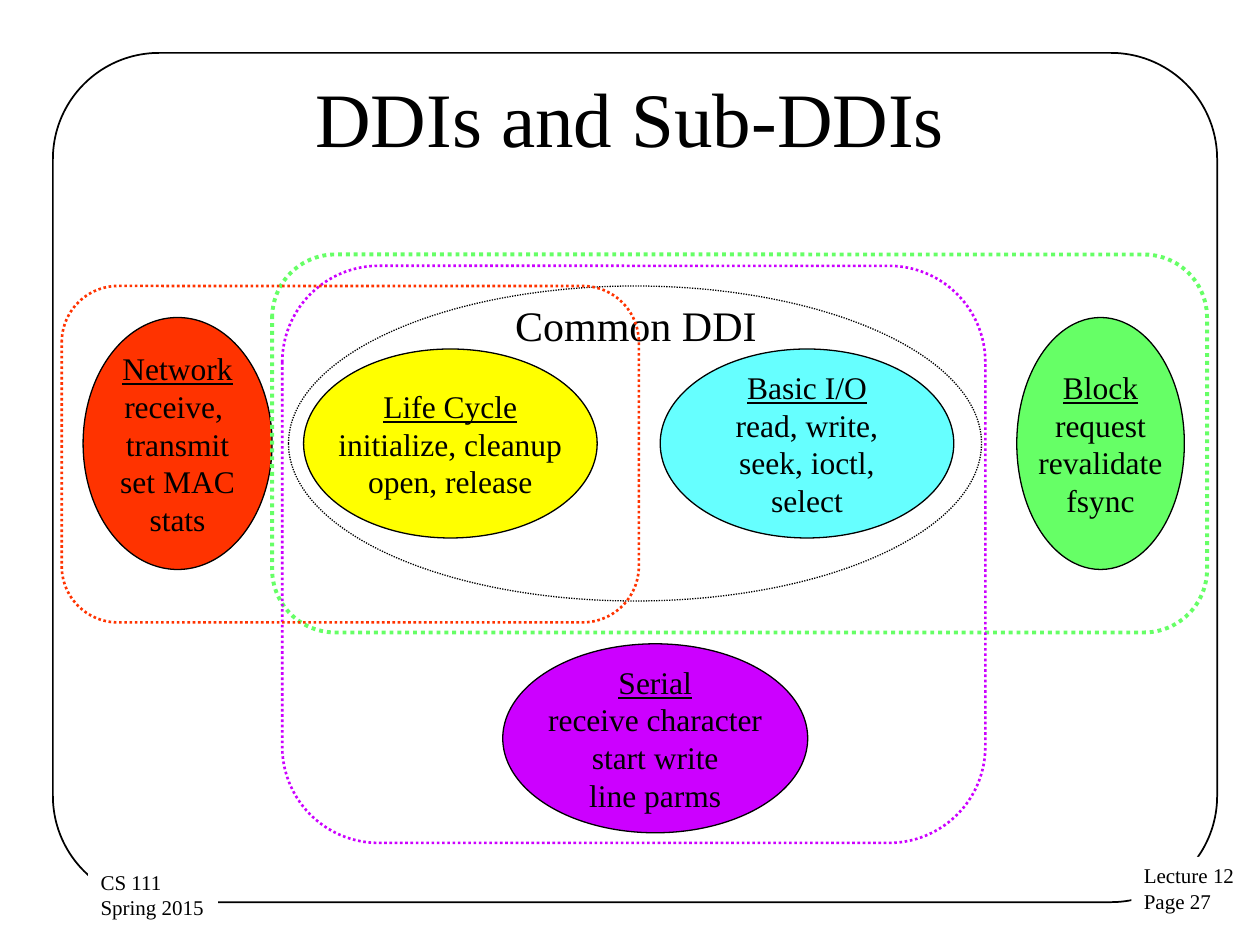
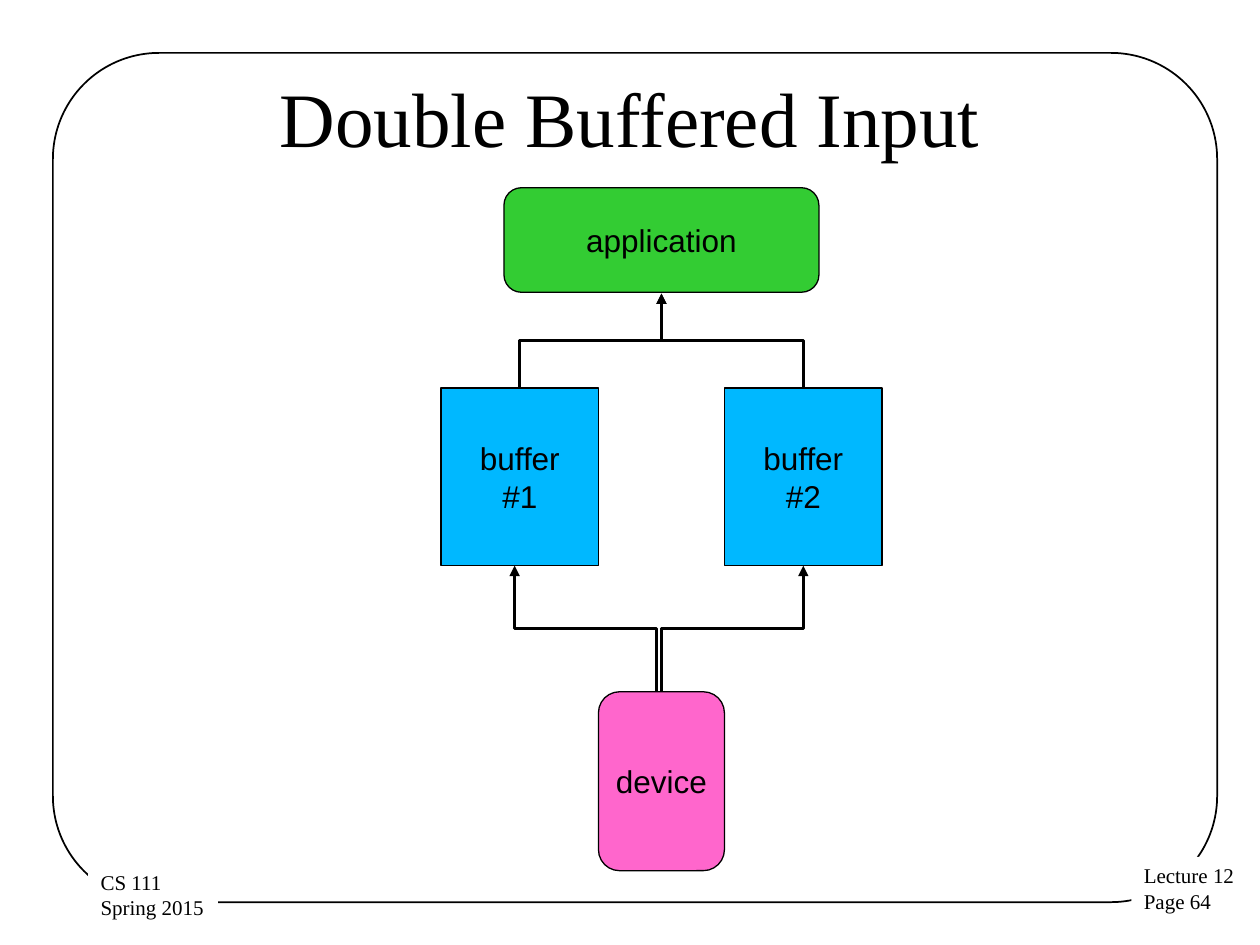
from pptx import Presentation
from pptx.dml.color import RGBColor
from pptx.enum.dml import MSO_LINE
from pptx.enum.shapes import MSO_CONNECTOR, MSO_SHAPE
from pptx.enum.text import MSO_ANCHOR, PP_ALIGN
from pptx.oxml.ns import qn
from pptx.util import Inches, Pt
from lxml.etree import SubElement

SERIF, SANS = "Times New Roman", "Arial"
BLACK, WHITE = "000000", "FFFFFF"
RED, YELLOW, CYAN, LIME, VIOLET = "FF3300", "FFFF00", "66FFFF", "66FF66", "CC00FF"
GREEN, BLUE, PINK = "33CC33", "00B8FF", "FF66CC"
CORNER = 0.167


def rgb(color):
    return RGBColor.from_string(color)


def set_text(shape, text, size, font=SERIF, align=PP_ALIGN.CENTER,
             anchor=MSO_ANCHOR.MIDDLE, wrap=False):
    tf = shape.text_frame
    tf.text = text
    tf.word_wrap = wrap
    tf.vertical_anchor = anchor
    for p in tf.paragraphs:
        p.alignment = align
        for r in p.runs:
            r.font.size = Pt(size)
            r.font.name = font
            r.font.color.rgb = rgb(BLACK)


def add_box(s, kind, box, fill=None, line=BLACK, width=0.75, corner=None, dotted=False):
    sp = s.shapes.add_shape(kind, *map(Inches, box))
    sp.shadow.inherit = False
    if corner is not None:
        sp.adjustments[0] = corner
    if fill:
        sp.fill.solid()
        sp.fill.fore_color.rgb = rgb(fill)
    else:
        sp.fill.background()
    if line:
        sp.line.color.rgb = rgb(line)
        sp.line.width = Pt(width)
        if dotted:
            sp.line.dash_style = MSO_LINE.ROUND_DOT
    else:
        sp.line.fill.background()
    return sp


def add_interface(s, box, fill, text):
    """Ellipse whose first line is an underlined heading."""
    sp = add_box(s, MSO_SHAPE.OVAL, box, fill)
    set_text(sp, text, 18)
    sp.text_frame.paragraphs[0].runs[0].font.underline = True


def add_group_outline(s, box, color, width=1.5):
    add_box(s, MSO_SHAPE.ROUNDED_RECTANGLE, box, line=color, width=width,
            corner=CORNER, dotted=True)


def add_node(s, kind, box, fill, text, corner=None):
    sp = add_box(s, kind, box, fill, corner=corner)
    set_text(sp, text, 18, SANS)


def add_elbow_arrow(s, tip, tail):
    """Vertical-horizontal-vertical connector with its arrowhead at the upper end."""
    (x1, y1), (x2, y2) = tip, tail
    cx, cy = (x1 + x2) / 2, (y1 + y2) / 2
    half_w, half_h = (y2 - y1) / 2, abs(x2 - x1) / 2
    rightward = x2 > x1
    if rightward:
        half_w = -half_w
    c = s.shapes.add_connector(
        MSO_CONNECTOR.ELBOW, Inches(cx - half_w), Inches(cy - half_h),
        Inches(cx + half_w), Inches(cy + half_h))
    c.line.color.rgb = rgb(BLACK)
    c.line.width = Pt(1.5)
    spPr = c._element.spPr
    spPr.find(qn("a:xfrm")).set("rot", str((270 if rightward else 90) * 60000))
    SubElement(spPr.find(qn("a:ln")), qn("a:headEnd"), type="triangle")
    SubElement(spPr, qn("a:effectLst"))


def add_footer(s, box, text):
    sp = add_box(s, MSO_SHAPE.RECTANGLE, box, WHITE, line=None)
    set_text(sp, text, 12, align=PP_ALIGN.LEFT, anchor=MSO_ANCHOR.TOP)


def add_slide(prs, title, page):
    s = prs.slides.add_slide(prs.slide_layouts[5])
    add_box(s, MSO_SHAPE.ROUNDED_RECTANGLE, (0.42, 0.42, 9.24, 6.74), width=1, corner=0.125)
    add_footer(s, (8.98, 6.8, 0.93, 0.51), f"Lecture 12\nPage {page}")
    add_footer(s, (0.7, 6.85, 1.03, 0.51), "CS 111\nSpring 2015")
    t = s.shapes.title
    t.left, t.top, t.width, t.height = map(Inches, (0.5, 0.3, 9, 1.25))
    set_text(t, title, 44, wrap=True)
    return s


def build_ddi_slide(prs):
    s = add_slide(prs, "DDIs and Sub-DDIs", 27)
    add_interface(s, (5.24, 2.77, 2.33, 1.5), CYAN,
                  "Basic I/O\nread, write,\nseek, ioctl,\nselect")
    add_interface(s, (2.41, 2.77, 2.33, 1.5), YELLOW,
                  "Life Cycle\ninitialize, cleanup\nopen, release")
    add_box(s, MSO_SHAPE.OVAL, (2.29, 2.27, 5.5, 2.5), dotted=True)
    label = s.shapes.add_textbox(*map(Inches, (3.99, 2.33, 2.25, 0.5)))
    set_text(label, "Common DDI", 24, align=PP_ALIGN.LEFT, anchor=MSO_ANCHOR.TOP, wrap=True)
    add_interface(s, (8.07, 2.52, 1.33, 2), LIME, "Block\nrequest\nrevalidate\nfsync")
    add_interface(s, (0.66, 2.52, 1.5, 2), RED,
                  "Network\nreceive, \ntransmit\nset MAC\nstats")
    add_interface(s, (3.99, 5.11, 2.42, 1.5), VIOLET,
                  "Serial\nreceive character\nstart write\nline parms")
    add_group_outline(s, (2.16, 2.02, 7.42, 3), LIME, 2.25)
    add_group_outline(s, (2.24, 2.11, 5.58, 4.58), VIOLET)
    add_group_outline(s, (0.49, 2.27, 4.58, 2.67), RED)


def build_buffer_slide(prs):
    s = add_slide(prs, "Double Buffered Input", 64)
    center, app_bottom, buffer_top, buffer_bottom, device_top = 5.25, 2.33, 3.08, 4.49, 5.49
    buffer_width, offset = 1.25, 1.125
    add_node(s, MSO_SHAPE.ROUNDED_RECTANGLE, (4, 1.49, 2.5, 0.83), GREEN, "application", CORNER)
    add_node(s, MSO_SHAPE.ROUNDED_RECTANGLE, (4.75, device_top, 1, 1.42), PINK, "device", CORNER)
    # The left input line is shifted so that the two stay distinct at the device.
    for number, side, shift in ((1, -1, 0.04), (2, 1, 0)):
        x = center + side * offset
        add_node(s, MSO_SHAPE.RECTANGLE,
                 (x - buffer_width / 2, buffer_top, buffer_width, buffer_bottom - buffer_top),
                 BLUE, f"buffer\n#{number}")
        add_elbow_arrow(s, (center, app_bottom), (x, buffer_top))
        add_elbow_arrow(s, (x - shift, buffer_bottom), (center - shift, device_top))


def main():
    prs = Presentation()
    prs.slide_width, prs.slide_height = Inches(10), Inches(7.5)
    build_ddi_slide(prs)
    build_buffer_slide(prs)
    prs.save("out.pptx")


if __name__ == "__main__":
    main()
